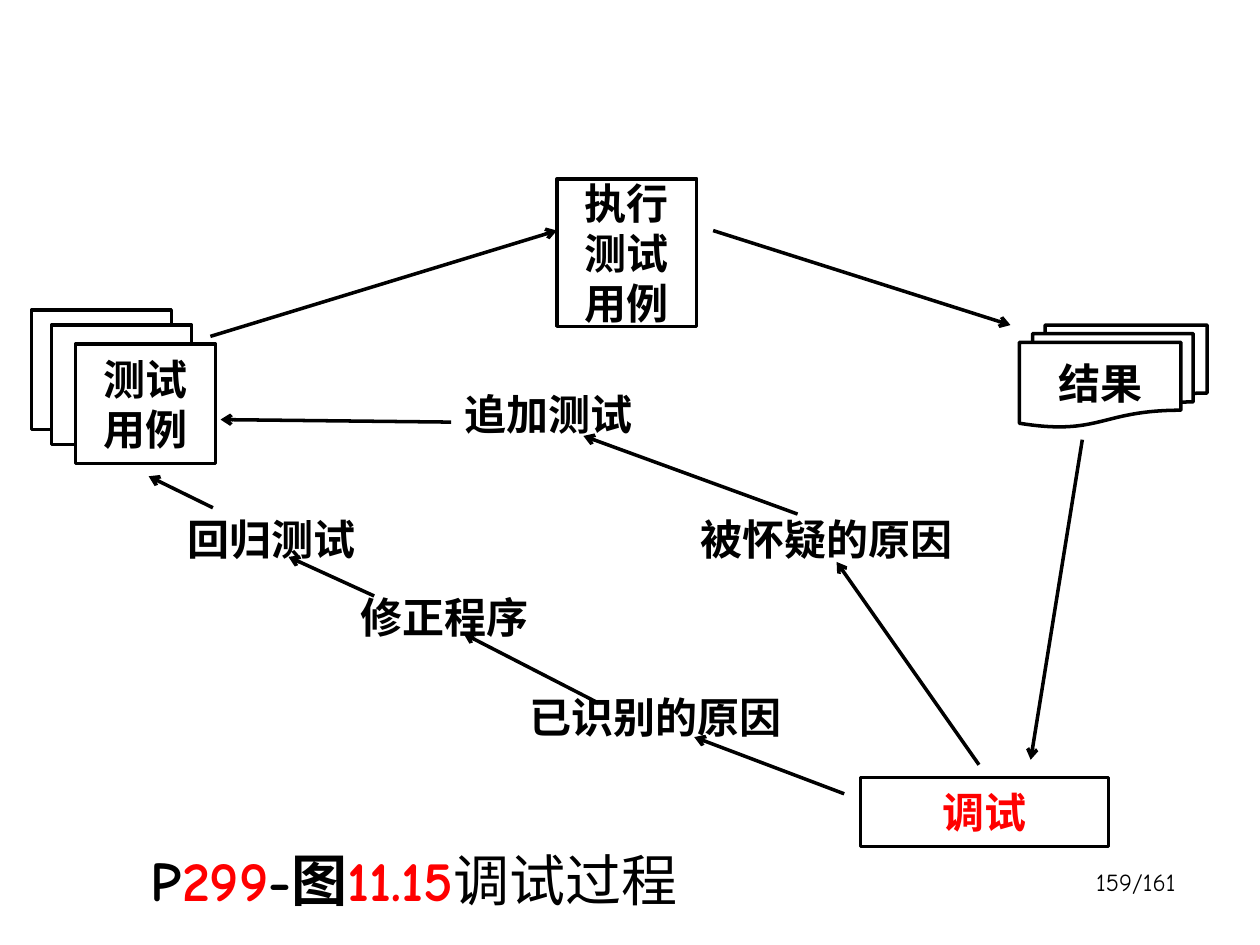
from pptx import Presentation
from pptx import util as u
from pptx.dml.color import RGBColor
from pptx.enum import shapes, text
from pptx.oxml.ns import qn
from lxml import etree

BLACK = RGBColor(0, 0, 0)
WHITE = RGBColor(255, 255, 255)
RED = RGBColor(255, 0, 0)
LATIN, HAN = "Comic Neue", "Noto Sans CJK SC"
COLS, ROWS = 100, 75
RECT = shapes.MSO_SHAPE.RECTANGLE
DOCS = shapes.MSO_SHAPE.FLOWCHART_MULTIDOCUMENT

BOXES = [
    (RECT, "", BLACK, (2.5, 24.6, 11.1, 9.5)),
    (RECT, "", BLACK, (4.1, 25.8, 11.1, 9.5)),
    (RECT, "测试用例", BLACK, (6, 27.3, 11.1, 9.5)),
    (RECT, "执行测试用例", BLACK, (44.2, 14.2, 11.1, 11.7)),
    (DOCS, "结果", BLACK, (80.9, 25.8, 14.9, 8.1)),
    (RECT, "调试", RED, (68.3, 61.7, 19.7, 5.5)),
]
LABELS = [
    ("追加测试", (35.2, 30.1, 16.6, 5.5)),
    ("被怀疑的原因", (54.1, 40, 23, 5.5)),
    ("已识别的原因", (39.9, 54.1, 24.2, 5.5)),
    ("回归测试", (12.8, 40, 17.5, 5.5)),
    ("修正程序", (26.5, 46.2, 17.5, 5.5)),
]
ARROWS = [
    (16.7, 26.7, 44.2, 18.3),
    (56.6, 18.3, 80.2, 25.8),
    (85.9, 34.9, 81.8, 60.3),
    (67, 63, 55.1, 58.5),
    (47.5, 55.8, 36.8, 50.3),
    (29.7, 47.3, 22.9, 44.2),
    (16.9, 40.3, 11.8, 37.8),
    (77.7, 60.7, 66.4, 44.6),
    (63.3, 40.8, 46.3, 34.6),
    (35.8, 33.5, 17.5, 33.3),
]
TITLE = [
    (" P", BLACK, True), ("299", RED, True), ("-图", BLACK, True),
    ("11.15", RED, True), ("调试过程", BLACK, False),
]
TITLE_AT = (4.2, 67.5, 55.8, 7.5)
PAGE = [("159/161", BLACK, False)]
PAGE_AT = (73.5, 68.3, 20.8, 5)

deck = Presentation()
deck.slide_width, deck.slide_height = u.Inches(10), u.Inches(7.5)
slide = deck.slides.add_slide(deck.slide_layouts[5])
items = slide.shapes


def grid(spot):
    units = (deck.slide_width / COLS, deck.slide_height / ROWS) * 2
    return [round(n * unit) for n, unit in zip(spot, units)]


def apply(thing, **values):
    for name, value in values.items():
        setattr(thing, name, value)


def write(shape, runs, size, face=LATIN, align=text.PP_ALIGN.CENTER,
          anchor=text.MSO_ANCHOR.MIDDLE, foot=0.05):
    side, top = u.Inches(0.1), u.Inches(0.05)
    apply(shape.text_frame, word_wrap=True, auto_size=text.MSO_AUTO_SIZE.NONE,
          vertical_anchor=anchor, margin_left=side, margin_right=side,
          margin_top=top, margin_bottom=u.Inches(foot))
    para = shape.text_frame.paragraphs[0]
    para.alignment = align
    for words, color, bold in runs:
        run = para.add_run()
        run.text = words
        apply(run.font, size=u.Pt(size), bold=bold, name=face)
        run.font.color.rgb = color
        etree.SubElement(run.font._element, qn("a:ea"), typeface=HAN)


def ink(line):
    line.color.rgb = BLACK
    line.width = u.Pt(2)


title = items.title
apply(title, **dict(zip(("left", "top", "width", "height"), grid(TITLE_AT))))
write(title, TITLE, 32, foot=0.35)

for kind, words, color, spot in BOXES:
    box = items.add_shape(kind, *grid(spot))
    box.shadow.inherit = False
    box.fill.solid()
    box.fill.fore_color.rgb = WHITE
    ink(box.line)
    if words:
        write(box, [(words, color, True)], 24, HAN)

for words, spot in LABELS:
    write(items.add_textbox(*grid(spot)), [(words, BLACK, True)], 24, HAN)

for spot in ARROWS:
    arrow = items.add_connector(shapes.MSO_CONNECTOR.STRAIGHT, *grid(spot))
    ink(arrow.line)
    etree.SubElement(arrow.line._get_or_add_ln(), qn("a:tailEnd"), type="arrow")
    etree.SubElement(arrow._element.spPr, qn("a:effectLst"))

write(items.add_textbox(*grid(PAGE_AT)), PAGE, 14,
      align=text.PP_ALIGN.RIGHT, anchor=text.MSO_ANCHOR.TOP)

deck.save("out.pptx")
